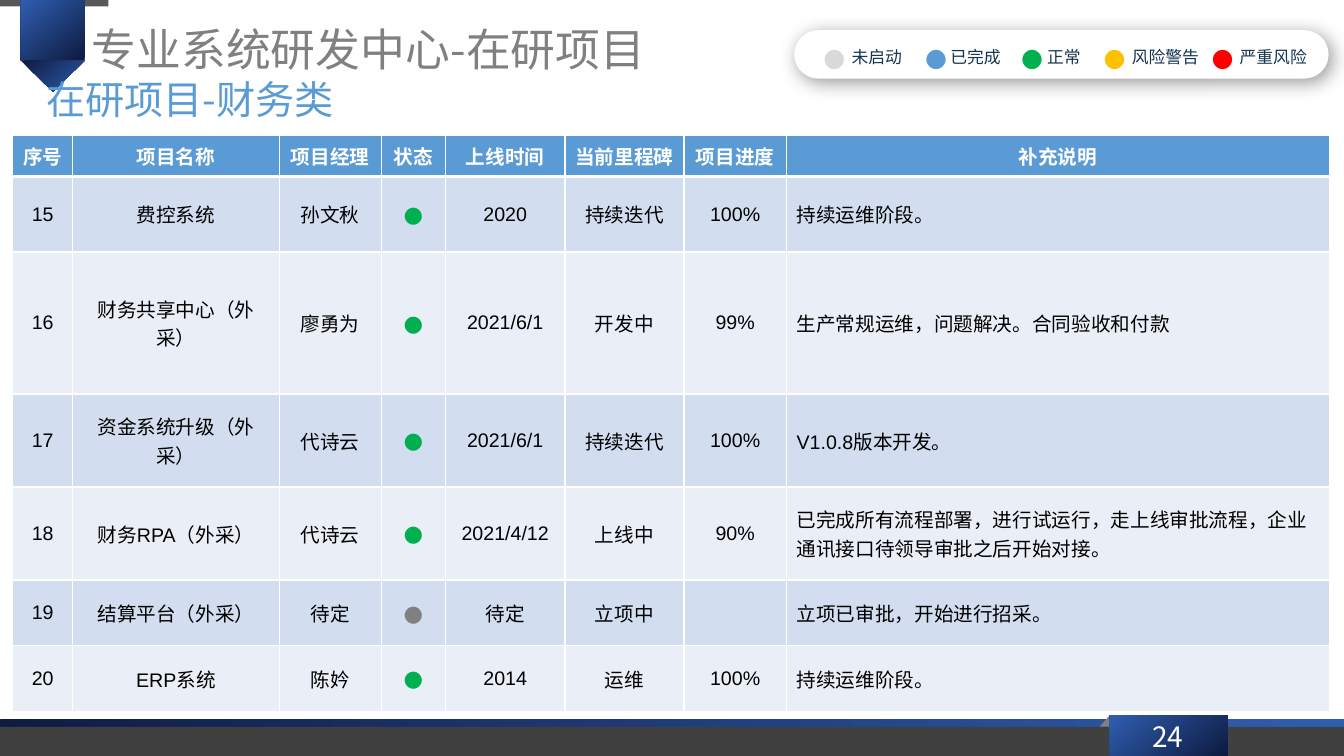
import pptx
import pptx.util
import pptx.dml.color
import pptx.enum.shapes
import pptx.enum.text
import pptx.oxml
import pptx.oxml.ns
from dataclasses import dataclass

Pt = pptx.util.Pt
SHAPE = pptx.enum.shapes.MSO_SHAPE
ALIGN = pptx.enum.text.PP_ALIGN
ANCHOR = pptx.enum.text.MSO_ANCHOR
NS = 'xmlns:a="http://schemas.openxmlformats.org/drawingml/2006/main"'


@dataclass(frozen=True)
class Theme:
    cjk: str = "Noto Sans CJK SC"
    latin: str = "Arial"
    dots: str = "Montserrat"
    white: str = "FFFFFF"
    black: str = "000000"
    navy: str = "0E1A40"
    royal: str = "2F5EB0"
    blue: str = "5B9BD5"
    label: str = "15344F"
    grey: str = "808080"
    tab: str = "595959"
    footer: str = "404040"
    idle: str = "D9D9D9"
    green: str = "00B050"
    amber: str = "FFC000"
    red: str = "FF0000"
    bands: tuple = ("D2DEEF", "EAEFF7")
    title: int = 32
    subtitle: int = 28
    page: int = 20
    legend_dot: int = 18
    table_dot: int = 16
    body: int = 14
    legend: int = 12


T = Theme()

HEADERS = ["序号", "项目名称", "项目经理", "状态", "上线时间", "当前里程碑", "项目进度", "补充说明"]
COLUMNS = [43, 147.5, 72.8, 46, 85.3, 85, 73.3, 387.8]
HEADER_HEIGHT = 29
PROJECTS = [
    (54, T.green, ["15", "费控系统", "孙文秋", "●", "2020", "持续迭代", "100%", "持续运维阶段。"]),
    (101.4, T.green, ["16", "财务共享中心（外采）", "廖勇为", "●", "2021/6/1", "开发中", "99%",
                      "生产常规运维，问题解决。合同验收和付款"]),
    (66.5, T.green, ["17", "资金系统升级（外采）", "代诗云", "●", "2021/6/1", "持续迭代", "100%",
                     "V1.0.8版本开发。"]),
    (66.5, T.green, ["18", "财务RPA（外采）", "代诗云", "●", "2021/4/12", "上线中", "90%",
                     "已完成所有流程部署，进行试运行，走上线审批流程，企业通讯接口待领导审批之后开始对接。"]),
    (47, T.grey, ["19", "结算平台（外采）", "待定", "●", "待定", "立项中", "", "立项已审批，开始进行招采。"]),
    (47, T.green, ["20", "ERP系统", "陈妗", "●", "2014", "运维", "100%", "持续运维阶段。"]),
]
STATUS_COLUMN = 3
LEGEND = [
    (13.7, 33.8, 76, "未启动", T.idle),
    (86.4, 104.4, 76, "已完成", T.blue),
    (154.8, 173.5, 41, "正常", T.green),
    (213.8, 234, 76, "风险警告", T.amber),
    (290.9, 311, 76, "严重风险", T.red),
]


def rgb(value):
    return pptx.dml.color.RGBColor.from_string(value)


def write(tf, text, size, color, font, align=ALIGN.LEFT, bold=False, spacing=None):
    p = tf.paragraphs[0]
    for name, value in {"alignment": align, "line_spacing": spacing}.items():
        setattr(p, name, value)
    if not text:
        return
    r = p.add_run()
    r.text = text
    for name, value in {"size": Pt(size), "bold": bold, "name": font}.items():
        setattr(r.font, name, value)
    r.font.color.rgb = rgb(color)
    r.font._element.append(pptx.oxml.parse_xml(f'<a:ea {NS} typeface="{T.cjk}"/>'))


def text_box(shapes, box, text, size, color, font, inset=None, anchor=ANCHOR.TOP, **style):
    tf = shapes.add_textbox(*map(Pt, box)).text_frame
    formats = {"word_wrap": True, "vertical_anchor": anchor}
    if inset:
        formats |= dict(zip(("margin_left", "margin_top", "margin_right", "margin_bottom"),
                            map(Pt, inset)))
    for name, value in formats.items():
        setattr(tf, name, value)
    write(tf, text, size, color, font, **style)


def finish(sp, color=None):
    sp.shadow.inherit = False
    sp.line.fill.background()
    if color:
        sp.fill.solid()
        sp.fill.fore_color.rgb = rgb(color)
    else:
        sp.fill.gradient()
        sp.fill.gradient_angle = 130
        for stop, tone in zip(sp.fill.gradient_stops, (T.navy, T.royal)):
            stop.color.rgb = rgb(tone)
    return sp


def shape(shapes, kind, box, color=None):
    return finish(shapes.add_shape(kind, *map(Pt, box)), color)


def ribbon(s, x, y, w, h):
    shape(s.shapes, SHAPE.RECTANGLE, (0, y, 77.5, 4.5), T.tab)
    group = s.shapes.add_group_shape().shapes
    body = h * 0.66
    shape(group, SHAPE.RECTANGLE, (x, y, w, body))
    shape(group, SHAPE.ISOSCELES_TRIANGLE, (x, y + body, w, h - body)).rotation = 180


def headings(s, x, y, w, h):
    inset = (5, 2.6, 5, 2.6)
    text_box(s.shapes, (x + 32.4, y, w, h), "专业系统研发中心-在研项目", T.title, T.grey, T.cjk,
             inset, spacing=0.9)
    text_box(s.shapes, (x, y + 37.4, w / 2, h), "在研项目-财务类", T.subtitle, T.blue, T.cjk,
             inset, spacing=0.9)


def status_legend(s, x, y, w, h):
    group = s.shapes.add_group_shape().shapes
    panel = shape(group, SHAPE.ROUNDED_RECTANGLE, (x, y, w, h), T.white)
    panel.adjustments[0] = 0.5
    effects = panel._element.spPr.find(pptx.oxml.ns.qn("a:effectLst"))
    effects.append(pptx.oxml.parse_xml(
        f'<a:outerShdw {NS} blurRad="{Pt(14)}" dist="{Pt(3)}" dir="2700000" algn="tl" '
        f'rotWithShape="0"><a:srgbClr val="{T.black}"><a:alpha val="40000"/></a:srgbClr>'
        '</a:outerShdw>'))
    for dot, label, width, text, color in LEGEND:
        text_box(group, (x + dot, y + 4.3, 29, 29), "●", T.legend_dot, color, T.dots)
        text_box(group, (x + label, y + 7.9, width, 21.8), text, T.legend, T.label, T.cjk)


def style_cell(cell, fill, top, bottom):
    tcPr = cell._tc.get_or_add_tcPr()
    for side, width in {"L": 1, "R": 1, "T": top, "B": bottom}.items():
        tcPr.append(pptx.oxml.parse_xml(
            f'<a:ln{side} {NS} w="{Pt(width)}"><a:solidFill><a:srgbClr val="{T.white}"/>'
            f'</a:solidFill></a:ln{side}>'))
    cell.fill.solid()
    cell.fill.fore_color.rgb = rgb(fill)
    cell.vertical_anchor = ANCHOR.MIDDLE


def project_table(s, x, y, w, h):
    table = s.shapes.add_table(len(PROJECTS) + 1, len(HEADERS), *map(Pt, (x, y, w, h))).table
    for column, width in zip(table.columns, COLUMNS):
        column.width = Pt(width)
    heights = [HEADER_HEIGHT] + [project[0] for project in PROJECTS]
    for row, height in zip(table.rows, heights):
        row.height = Pt(height)
    for i, text in enumerate(HEADERS):
        cell = table.cell(0, i)
        style_cell(cell, T.blue, 1, 3)
        write(cell.text_frame, text, T.body, T.white, T.cjk, ALIGN.CENTER, True)
    for n, (_, status, values) in enumerate(PROJECTS):
        for i, text in enumerate(values):
            cell = table.cell(n + 1, i)
            style_cell(cell, T.bands[n % 2], 1 if n else 3, 1)
            look = ((T.table_dot, status, T.dots) if i == STATUS_COLUMN
                    else (T.body, T.black, T.latin))
            align = ALIGN.LEFT if i == len(values) - 1 else ALIGN.CENTER
            write(cell.text_frame, text, *look, align)


def footer(s, x, y, w, h):
    strip = shape(s.shapes, SHAPE.RECTANGLE, (x, y + 2.9, w, h - 2.9))
    strip._element.spPr.xfrm.set("flipH", "1")
    shape(s.shapes, SHAPE.RECTANGLE, (x, y + 8, w, h - 8), T.footer)
    tab = x + 792.5
    fold = s.shapes.build_freeform(Pt(tab), Pt(y), 1)
    fold.add_line_segments([(Pt(tab + dx), Pt(y + dy))
                            for dx, dy in ((72, 0), (73, 8.5), (-7, 8))], close=True)
    finish(fold.convert_to_shape(), T.grey)
    shape(s.shapes, SHAPE.RECTANGLE, (tab, y, 84.5, h))
    text_box(s.shapes, (tab + 6.5, y + 0.7, 70, 28.6), "24", T.page, T.white, T.cjk,
             anchor=ANCHOR.MIDDLE, align=ALIGN.CENTER)


def main():
    prs = pptx.Presentation()
    prs.slide_width, prs.slide_height = Pt(960), Pt(540)
    s = prs.slides.add_slide(prs.slide_layouts[6])
    ribbon(s, 15, 0, 45.5, 65.5)
    footer(s, 0, 511.1, 960, 28.9)
    project_table(s, 9, 97, sum(COLUMNS), 411.4)
    status_legend(s, 567.4, 21.6, 381.6, 34.5)
    headings(s, 28.1, 17.3, 529, 44)
    prs.save("out.pptx")


if __name__ == "__main__":
    main()
